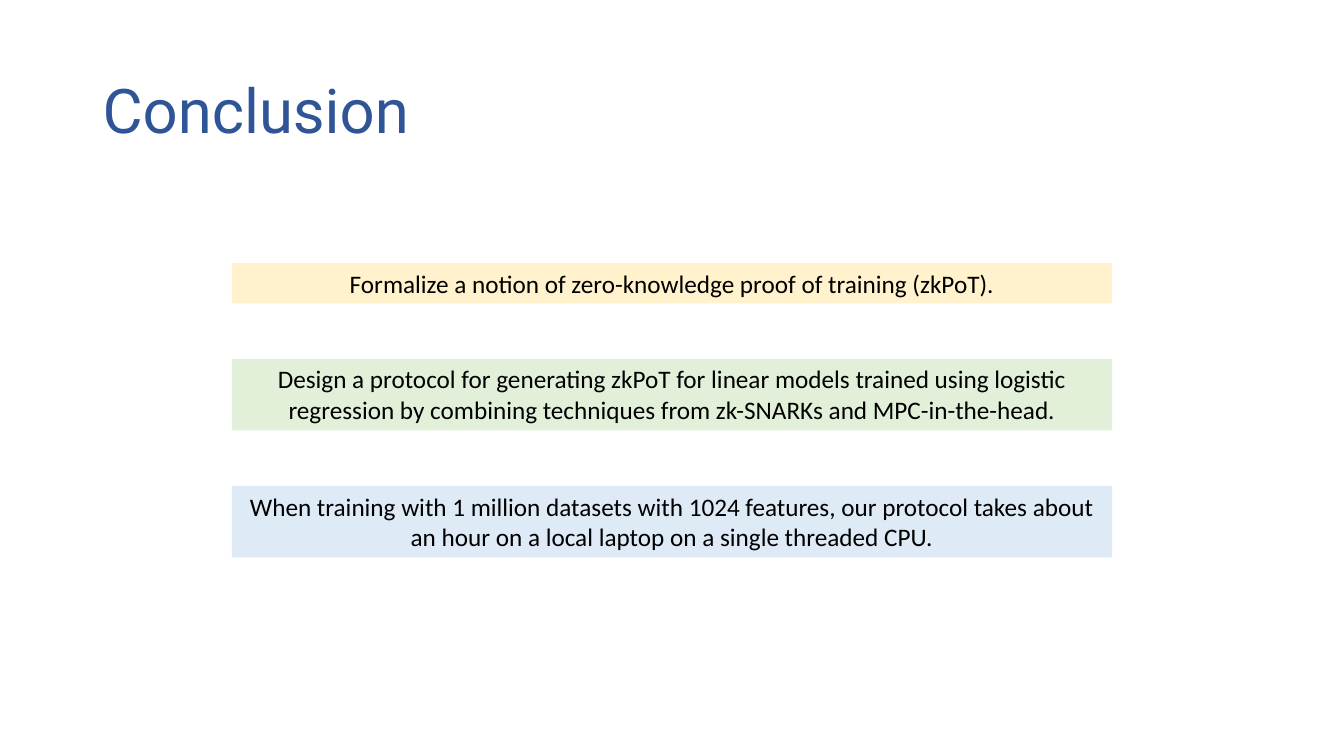
from typing import NamedTuple

from pptx import Presentation
from pptx.dml.color import RGBColor
from pptx.enum.text import MSO_ANCHOR, PP_ALIGN
from pptx.slide import Slide
from pptx.util import Inches, Pt

BLUE = RGBColor(0x2F, 0x55, 0x97)
BLACK = RGBColor(0x00, 0x00, 0x00)
CREAM = RGBColor(0xFF, 0xF2, 0xCC)
MINT = RGBColor(0xE2, 0xF0, 0xD9)
SKY = RGBColor(0xDE, 0xEB, 0xF7)

LEFT, TOP, WIDTH, GAP = 2.3, 2.61, 8.73, 0.55


class Point(NamedTuple):
    text: str
    height: float
    fill: RGBColor


POINTS = [
    Point("Formalize a notion of zero-knowledge proof of training (zkPoT).",
          0.4, CREAM),
    Point("Design a protocol for generating zkPoT for linear models trained "
          "using logistic regression by combining techniques from zk-SNARKs "
          "and MPC-in-the-head.", 0.71, MINT),
    Point("When training with 1 million datasets with 1024 features, our "
          "protocol takes about an hour on a local laptop on a single "
          "threaded CPU.", 0.71, SKY),
]


def add_title(slide: Slide, text: str) -> None:
    box = slide.shapes.add_textbox(
        Inches(0.92), Inches(0.4), Inches(11.5), Inches(1.45))
    frame = box.text_frame
    frame.word_wrap = True
    frame.vertical_anchor = MSO_ANCHOR.MIDDLE
    frame.text = text
    line = frame.paragraphs[0]
    line.line_spacing = 0.9
    font = line.runs[0].font
    font.name, font.size = "Roboto", Pt(44)
    font.color.rgb = BLUE


def add_point(slide: Slide, point: Point, top: float) -> None:
    box = slide.shapes.add_textbox(
        Inches(LEFT), Inches(top), Inches(WIDTH), Inches(point.height))
    box.fill.solid()
    box.fill.fore_color.rgb = point.fill
    frame = box.text_frame
    frame.word_wrap = True
    frame.text = point.text
    line = frame.paragraphs[0]
    line.alignment = PP_ALIGN.CENTER
    font = line.runs[0].font
    font.name, font.size = "Calibri", Pt(18)
    font.color.rgb = BLACK


def main() -> None:
    deck = Presentation()
    deck.slide_width, deck.slide_height = Inches(13.33), Inches(7.5)
    slide = deck.slides.add_slide(deck.slide_layouts[6])
    add_title(slide, "Conclusion")
    top = TOP
    for point in POINTS:
        add_point(slide, point, top)
        top += point.height + GAP
    deck.save("out.pptx")


if __name__ == "__main__":
    main()
